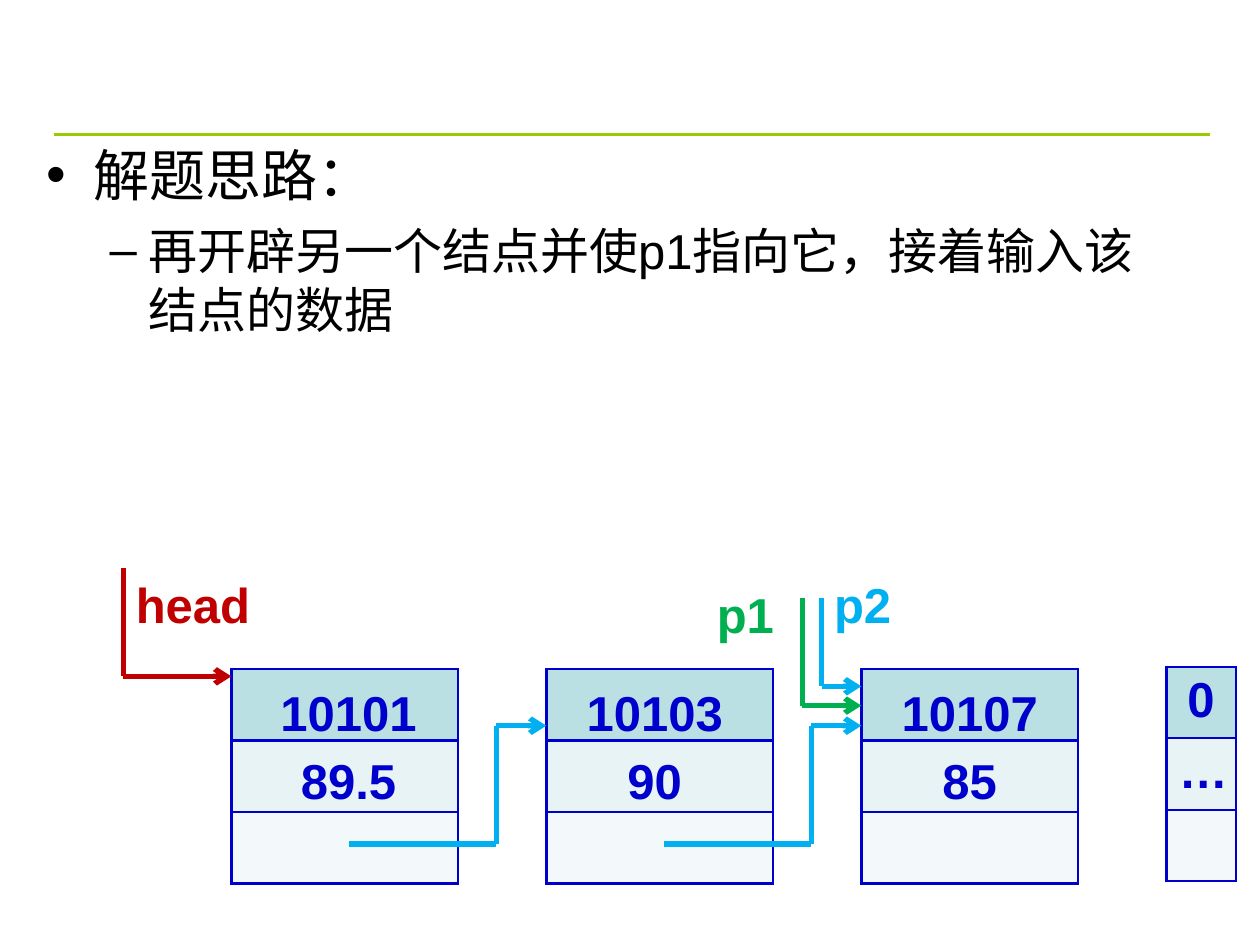
from lxml.etree import SubElement
from pptx import Presentation
from pptx.dml.color import RGBColor
from pptx.enum.shapes import MSO_CONNECTOR as Connector
from pptx.enum.text import MSO_ANCHOR as Anchor, PP_ALIGN as Align
from pptx.oxml import parse_xml
from pptx.oxml.ns import nsdecls, qn
from pptx.util import Pt

COLORS = {
    "text": "000000", "rule": "99CC00", "data": "0000CC",
    "head": "C00000", "p1": "00B050", "link": "00B0F0",
    "number": "BBE0E3", "score": "E7F3F4", "next": "F3F9FA",
}
FONT = "Arial"
ROW = 40.9
NODE_GAP = 180


def color(key):
    return RGBColor.from_string(COLORS[key])


def write(paragraph, text, size=28, ink="data", bold=True, align=None,
          spacing=None, before=None, bullet=None, margin=0, hang=0):
    if bullet:
        props = paragraph._p.get_or_add_pPr()
        props.set("marL", str(Pt(margin)))
        props.set("indent", str(-Pt(hang)))
        SubElement(props, qn("a:buFont"), typeface=FONT)
        SubElement(props, qn("a:buChar"), char=bullet)
    if align is not None:
        paragraph.alignment = align
    if spacing:
        paragraph.line_spacing = Pt(spacing)
    if before:
        paragraph.space_before = Pt(before)
    run = paragraph.add_run()
    run.text = text
    run.font.name = FONT
    run.font.size = Pt(size)
    run.font.bold = bold
    run.font.color.rgb = color(ink)


def add_frame(slide, left, top, width, height):
    frame = slide.shapes.add_textbox(Pt(left), Pt(top), Pt(width), Pt(height)).text_frame
    frame.word_wrap = True
    return frame


def add_line(slide, start, end, ink, weight=3, arrow=False):
    line = slide.shapes.add_connector(
        Connector.STRAIGHT, *(Pt(value) for value in (*start, *end)))
    line.line.color.rgb = color(ink)
    line.line.width = Pt(weight)
    if arrow:
        SubElement(line.line._get_or_add_ln(), qn("a:tailEnd"), type="arrow")
    SubElement(line._element.spPr, qn("a:effectLst"))


def add_path(slide, points, ink):
    last = len(points) - 2
    for index, (start, end) in enumerate(zip(points, points[1:])):
        add_line(slide, start, end, ink, arrow=index == last)


def add_borders(cell):
    props = cell._tc.get_or_add_tcPr()
    for index, side in enumerate(("lnL", "lnR", "lnT", "lnB")):
        props.insert(index, parse_xml(
            f'<a:{side} {nsdecls("a")} w="{Pt(1.47)}"><a:solidFill>'
            f'<a:srgbClr val="{COLORS["data"]}"/></a:solidFill></a:{side}>'))


def add_node(slide, left, top, width, values=()):
    node = slide.shapes.add_table(3, 1, Pt(left), Pt(top), Pt(width), Pt(3 * ROW)).table
    node.first_row = False
    node.horz_banding = False
    for index, field in enumerate(("number", "score", "next")):
        node.rows[index].height = Pt(ROW)
        cell = node.cell(index, 0)
        cell.vertical_anchor = Anchor.TOP
        cell.fill.solid()
        cell.fill.fore_color.rgb = color(field)
        add_borders(cell)
        if index < len(values):
            write(cell.text_frame.paragraphs[0], values[index], align=Align.CENTER)


def add_node_data(slide, left, top, width, values):
    frame = add_frame(slide, left, top, width, 85.7)
    for index, value in enumerate(values):
        paragraph = frame.add_paragraph() if index else frame.paragraphs[0]
        write(paragraph, value, align=Align.CENTER, spacing=39)


def add_explanation(slide, left, top, width, height):
    add_line(slide, (left + 11.5, top), (left + 672, top), "rule", weight=1.5)
    frame = add_frame(slide, left, top, width, height)
    write(frame.paragraphs[0], "解题思路：", size=32, ink="text", bold=False,
          bullet="•", margin=27, hang=27)
    write(frame.add_paragraph(), "再开辟另一个结点并使p1指向它，接着输入该结点的数据",
          ink="text", bold=False, before=7, bullet="–", margin=58.5, hang=22.5)


def add_pointer(slide, name, label_left, label_top, label_width, points, ink):
    write(add_frame(slide, label_left, label_top, label_width, 41).paragraphs[0],
          name, ink=ink)
    add_path(slide, points, ink)


def add_linked_list(slide, left, top):
    nodes = (
        (("10101", "89.5"), 129.6, 5),
        (("10103", "90"), 129.6, 0),
        (("10107", "85"), 123.8, 0),
    )
    for index, (values, width, shift) in enumerate(nodes):
        x = left + index * NODE_GAP
        add_node(slide, x, top, width)
        add_node_data(slide, x + shift, top - 1.5, 123.8, values)
    for index in range(len(nodes) - 1):
        x = left + index * NODE_GAP
        bend = x + 151.5
        low, high = top + 100, top + 32.4
        add_path(slide, [(x + 67, low), (bend, low), (bend, high),
                         (x + NODE_GAP, high)], "link")
    third = left + 2 * NODE_GAP
    pointers = (
        ("head", 70.5, 324.7, 96, 70.5, 324.7, 386.5, left, "head"),
        ("p1", 402.5, 330.5, 62, 458.5, 341.5, 403.2, third, "p1"),
        ("p2", 469.5, 324.7, 62, 469.5, 341.5, 392.2, third, "link"),
    )
    for name, x, y, width, stem, start, end, target, ink in pointers:
        add_pointer(slide, name, x, y, width,
                    [(stem, start), (stem, end), (target, end)], ink)


def main():
    deck = Presentation()
    deck.slide_width, deck.slide_height = Pt(720), Pt(540)
    slide = deck.slides.add_slide(deck.slide_layouts[6])
    add_explanation(slide, 19.5, 77, 658, 152)
    add_linked_list(slide, 132.2, 382.3)
    add_node(slide, 666.5, 381, 39.6, ("0", "…"))
    deck.save("out.pptx")


if __name__ == "__main__":
    main()
